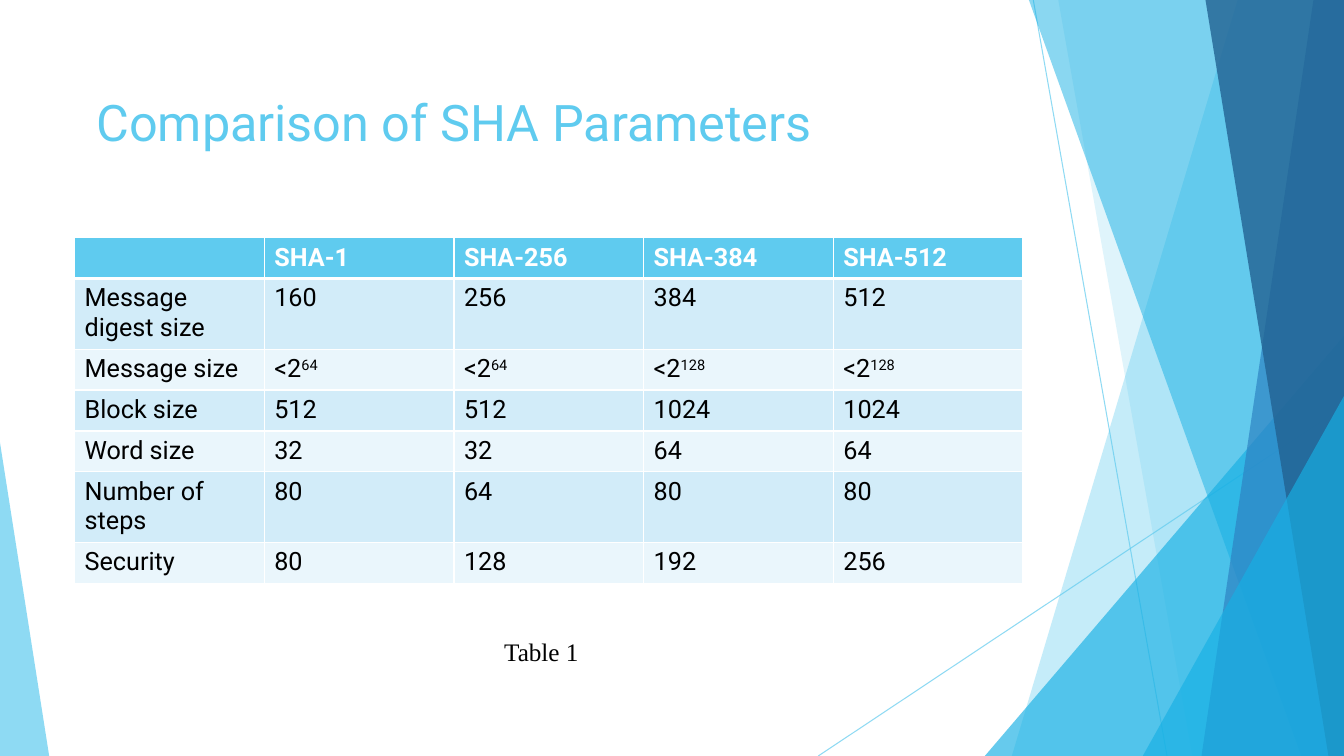
"""Build the slide comparing SHA parameters in a table."""
from lxml import etree
from pptx import Presentation, util as u
from pptx.dml.color import RGBColor
from pptx.enum import shapes, text
from pptx.oxml import ns

TITLE = "Comparison of SHA Parameters"
CAPTION = "Table 1"
ROWS = [
    ("", "SHA-1", "SHA-256", "SHA-384", "SHA-512"),
    ("Message digest size", "160", "256", "384", "512"),
    ("Message size", "<2^64", "<2^64", "<2^128", "<2^128"),
    ("Block size", "512", "512", "1024", "1024"),
    ("Word size", "32", "32", "64", "64"),
    ("Number of steps", "80", "64", "80", "80"),
    ("Security", "80", "128", "192", "256"),
]
THEME = {
    "sky": "5FCBEF", "cyan": "17B0E4", "blue": "2E83C3", "navy": "226292",
    "white": "FFFFFF", "black": "000000", "odd": "D2ECF9", "even": "EAF6FC",
    "sans": "Roboto", "serif": "Times New Roman", "title": 36, "body": 18,
}
W, H = 33.87, 19.05
RAYS = [((26.04, 0), (29.41, H)), ((W, 10.24), (20.62, H))]
FACETS = [
    ([(31.19, 0), (W, 0), (W, H), (25.5, H)], "sky", 36),
    ([(26.67, 0), (W, 0), (W, H), (30.05, H)], "sky", 20),
    ([(W, 8.46), (W, H), (24.82, H)], "cyan", 66),
    ([(25.93, 0), (W, 0), (W, H), (32.79, H)], "cyan", 50),
    ([(33.1, 0), (W, 0), (W, H), (30.28, H)], "blue", 70),
    ([(30.38, 0), (W, 0), (W, H), (33.48, H)], "navy", 80),
    ([(W, 9.98), (W, H), (28.8, H)], "cyan", 66),
    ([(0, 11.15), (1.24, H), (0, H)], "sky", 70),
]


def color(name):
    return RGBColor.from_string(THEME[name])


def paint(fill, name, alpha=100):
    fill.solid()
    fill.fore_color.rgb = color(name)
    if alpha < 100:
        clr = fill._xPr.find(ns.qn("a:solidFill"))[0]
        etree.SubElement(clr, ns.qn("a:alpha"), val=str(alpha * 1000))


def add_run(p, words, size, face, ink, bold=False, base=0):
    r = p.add_run()
    r.text = words
    fmt = {"size": u.Pt(THEME[size]), "name": THEME[face], "bold": bold}
    for key, value in fmt.items():
        setattr(r.font, key, value)
    r.font.color.rgb = color(ink)
    if base:
        r.font._element.set("baseline", str(base * 1000))


def add_ray(s, start, end):
    ends = [u.Cm(v) for v in start + end]
    sp = s.shapes.add_connector(shapes.MSO_CONNECTOR.STRAIGHT, *ends)
    sp.line.width = u.Pt(0.75)
    paint(sp.line.fill, "sky", 70)
    etree.SubElement(sp._element.spPr, ns.qn("a:effectLst"))


def add_facet(s, points, name, alpha):
    pts = [(u.Cm(x), u.Cm(y)) for x, y in points]
    fb = s.shapes.build_freeform(*pts[0])
    fb.add_line_segments(pts[1:], close=True)
    sp = fb.convert_to_shape()
    sp.shadow.inherit = False
    sp.line.fill.background()
    paint(sp.fill, name, alpha)


def add_title(s):
    sp = s.shapes.add_textbox(u.Cm(2.18), u.Cm(2.16), u.Cm(23.88), u.Cm(2.95))
    sp.text_frame.word_wrap = True
    add_run(sp.text_frame.paragraphs[0], TITLE, "title", "sans", "sky")


def add_borders(cell, bottom):
    tc_pr = cell._tc.get_or_add_tcPr()
    for side, width in {"L": 1, "R": 1, "T": 1, "B": bottom}.items():
        ln = etree.SubElement(tc_pr, ns.qn(f"a:ln{side}"), w=str(u.Pt(width)))
        solid = etree.SubElement(ln, ns.qn("a:solidFill"))
        etree.SubElement(solid, ns.qn("a:srgbClr"), val=THEME["white"])


def add_parameters(s):
    n_rows, n_cols, row_h, col_w = len(ROWS), len(ROWS[0]), 1.03, 4.78
    box = [u.Cm(v) for v in (1.88, 5.99, n_cols * col_w, n_rows * row_h)]
    tbl = s.shapes.add_table(n_rows, n_cols, *box).table
    for col in tbl.columns:
        col.width = u.Cm(col_w)
    for i, values in enumerate(ROWS):
        head = i == 0
        tbl.rows[i].height = u.Cm(row_h)
        shade = "sky" if head else "odd" if i % 2 else "even"
        for j, value in enumerate(values):
            cell = tbl.cell(i, j)
            add_borders(cell, 3 if head else 1)
            if i == 1:
                cell._tc.tcPr.find(ns.qn("a:lnT")).set("w", str(u.Pt(3)))
            paint(cell.fill, shade)
            p = cell.text_frame.paragraphs[0]
            p.font.size = u.Pt(THEME["body"])
            for k, part in enumerate(value.split("^")):
                if part:
                    add_run(p, part, "body", "sans",
                            "white" if head else "black", head, 30 * k)


def add_caption(s):
    box = [u.Cm(v) for v in (10.52, 15.67, 6.25, 1.5)]
    sp = s.shapes.add_shape(shapes.MSO_SHAPE.ROUNDED_RECTANGLE, *box)
    sp.shadow.inherit = False
    sp.fill.background()
    sp.line.fill.background()
    tf = sp.text_frame
    tf.word_wrap = True
    tf.vertical_anchor = text.MSO_ANCHOR.MIDDLE
    p = tf.paragraphs[0]
    p.alignment = text.PP_ALIGN.CENTER
    add_run(p, CAPTION, "body", "serif", "black")


def main():
    prs = Presentation()
    prs.slide_width, prs.slide_height = u.Cm(W), u.Cm(H)
    s = prs.slides.add_slide(prs.slide_layouts[6])
    for ray in RAYS:
        add_ray(s, *ray)
    for facet in FACETS:
        add_facet(s, *facet)
    add_title(s)
    add_parameters(s)
    add_caption(s)
    prs.save("out.pptx")


if __name__ == "__main__":
    main()
